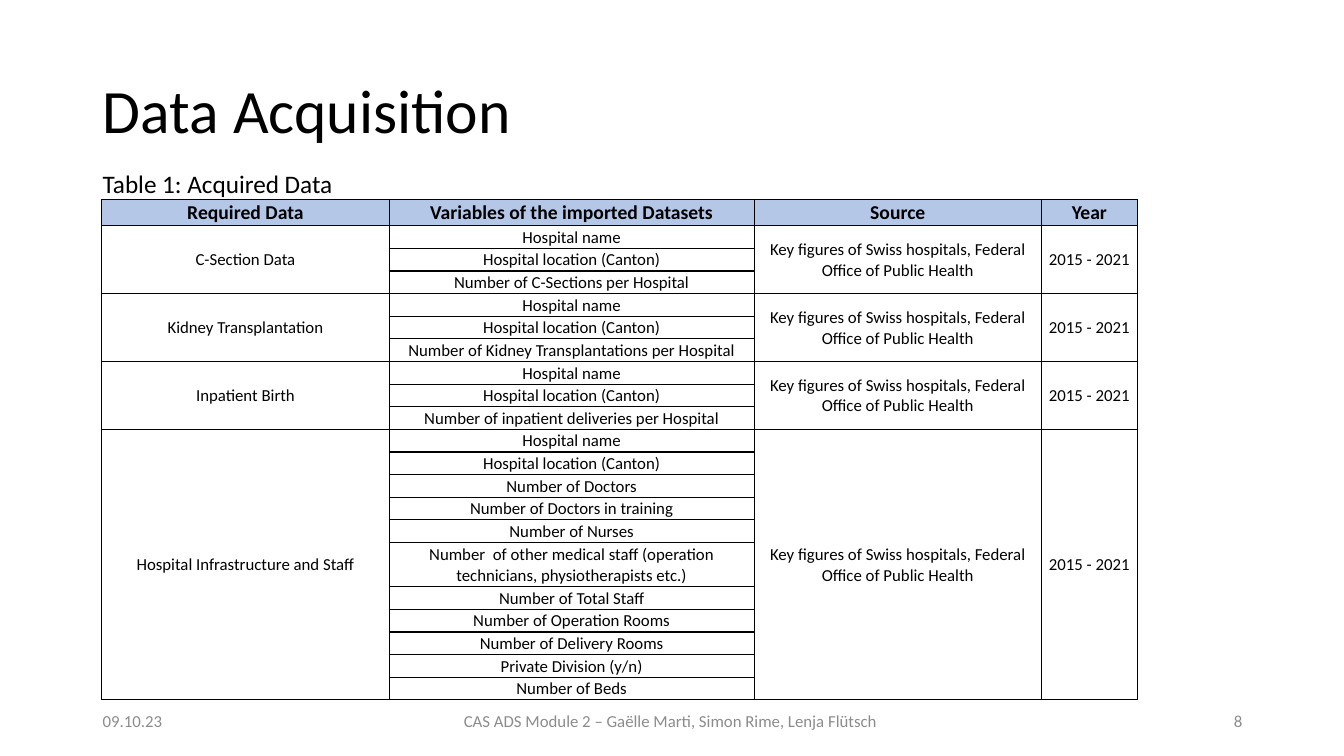
import pptx
import pptx.util
import pptx.dml.color
import pptx.enum.text
import pptx.oxml.ns
from lxml import etree

Inches, Pt = pptx.util.Inches, pptx.util.Pt
ALIGN = pptx.enum.text.PP_ALIGN
MIDDLE = pptx.enum.text.MSO_ANCHOR.MIDDLE
COLORS = {"text": "000000", "footer": "8C8C8C", "header": "B4C7E7", "border": "000000"}
FONT = "Calibri"

# Content
TITLE = "Data Acquisition"
CAPTION = "Table 1: Acquired Data"
FOOTERS = [
    ("09.10.23", 0.92, 3, ALIGN.LEFT),
    ("CAS ADS Module 2 – Gaëlle Marti, Simon Rime, Lenja Flütsch ", 4.42, 4.5, ALIGN.CENTER),
    ("8", 9.42, 3, ALIGN.RIGHT),
]
HEADERS = ["Required Data", "Variables of the imported Datasets", "Source", "Year"]
SOURCE = "Key figures of Swiss hospitals, Federal Office of Public Health"
YEARS = "2015 - 2021"
SHARED = ["Hospital name", "Hospital location (Canton)"]
OTHER_STAFF = "Number  of other medical staff (operation technicians, physiotherapists etc.)"
DATASETS = [
    ("C-Section Data", ["Number of C-Sections per Hospital"]),
    ("Kidney Transplantation", ["Number of Kidney Transplantations per Hospital"]),
    ("Inpatient Birth", ["Number of inpatient deliveries per Hospital"]),
    ("Hospital Infrastructure and Staff", [
        "Number of Doctors", "Number of Doctors in training", "Number of Nurses",
        OTHER_STAFF, "Number of Total Staff", "Number of Operation Rooms",
        "Number of Delivery Rooms", "Private Division (y/n)", "Number of Beds"]),
]

# Table measures
COLUMN_WIDTHS = [2.85, 3.62, 2.85, 0.95]
TABLE_HEIGHT, HEADER_HEIGHT, TALL_HEIGHT = 4.97, 0.26, 0.44


def rgb(name):
    return pptx.dml.color.RGBColor.from_string(COLORS[name])


def write(frame, text, size, color="text", align=ALIGN.LEFT, bold=False):
    frame.text = text
    paragraph = frame.paragraphs[0]
    paragraph.alignment = align
    for run in paragraph.runs:
        run.font.name, run.font.size, run.font.bold = FONT, Pt(size), bold
        run.font.color.rgb = rgb(color)


def add_text(left, top, width, height, text, size, **style):
    frame = slide.shapes.add_textbox(
        Inches(left), Inches(top), Inches(width), Inches(height)).text_frame
    frame.word_wrap = True
    write(frame, text, size, **style)
    return frame


def add_borders(cell):
    properties = cell._tc.get_or_add_tcPr()
    for position, side in enumerate(("lnL", "lnR", "lnT", "lnB")):
        line = etree.Element(pptx.oxml.ns.qn("a:" + side), w=str(Pt(1)))
        fill = etree.SubElement(line, pptx.oxml.ns.qn("a:solidFill"))
        etree.SubElement(fill, pptx.oxml.ns.qn("a:srgbClr"), val=COLORS["border"])
        properties.insert(position, line)


presentation = pptx.Presentation()
presentation.slide_width, presentation.slide_height = Inches(13.33), Inches(7.5)
slide = presentation.slides.add_slide(presentation.slide_layouts[5])

# Title
title = slide.shapes.title
title.left, title.top = Inches(0.92), Inches(0.4)
title.width, title.height = Inches(11.5), Inches(1.45)
write(title.text_frame, TITLE, 44)
title.text_frame.vertical_anchor = MIDDLE
title.text_frame.paragraphs[0].line_spacing = 0.9

# Footer and caption
for text, left, width, align in FOOTERS:
    footer = add_text(left, 6.95, width, 0.4, text, 12, color="footer", align=align)
    footer.vertical_anchor = MIDDLE
add_text(0.92, 1.62, 6.33, 0.4, CAPTION, 18)

# Table rows; spans hold the first and last row of each dataset
rows, spans = [HEADERS], []
for dataset, variables in DATASETS:
    first = len(rows)
    for variable in SHARED + variables:
        rows.append(["", variable, "", ""])
    rows[first] = [dataset, SHARED[0], SOURCE, YEARS]
    spans.append((first, len(rows) - 1))

table = slide.shapes.add_table(
    len(rows), len(HEADERS), Inches(1.01), Inches(1.98),
    Inches(sum(COLUMN_WIDTHS)), Inches(TABLE_HEIGHT)).table
table.horz_banding = False
for column, width in zip(table.columns, COLUMN_WIDTHS):
    column.width = Inches(width)

row_height = (TABLE_HEIGHT - HEADER_HEIGHT - TALL_HEIGHT) / (len(rows) - 2)
for r, values in enumerate(rows):
    is_header = r == 0
    height = (HEADER_HEIGHT if is_header
              else TALL_HEIGHT if OTHER_STAFF in values else row_height)
    table.rows[r].height = Inches(height)
    for c, value in enumerate(values):
        cell = table.cell(r, c)
        cell.margin_left = cell.margin_right = cell.margin_top = Inches(0.01)
        cell.margin_bottom = 0
        cell.vertical_anchor = MIDDLE
        write(cell.text_frame, value, 14 if is_header else 12,
              align=ALIGN.CENTER, bold=is_header)
        if not value:  # keeps covered cells from stretching their row
            etree.SubElement(cell.text_frame.paragraphs[0]._p,
                             pptx.oxml.ns.qn("a:endParaRPr"), sz="1200")
        if is_header:
            cell.fill.solid()
            cell.fill.fore_color.rgb = rgb("header")
        else:
            cell.fill.background()
        add_borders(cell)

# Merge everything but the variables column
for first, last in spans:
    for c in (0, 2, 3):
        table.cell(first, c).merge(table.cell(last, c))

presentation.save("out.pptx")
